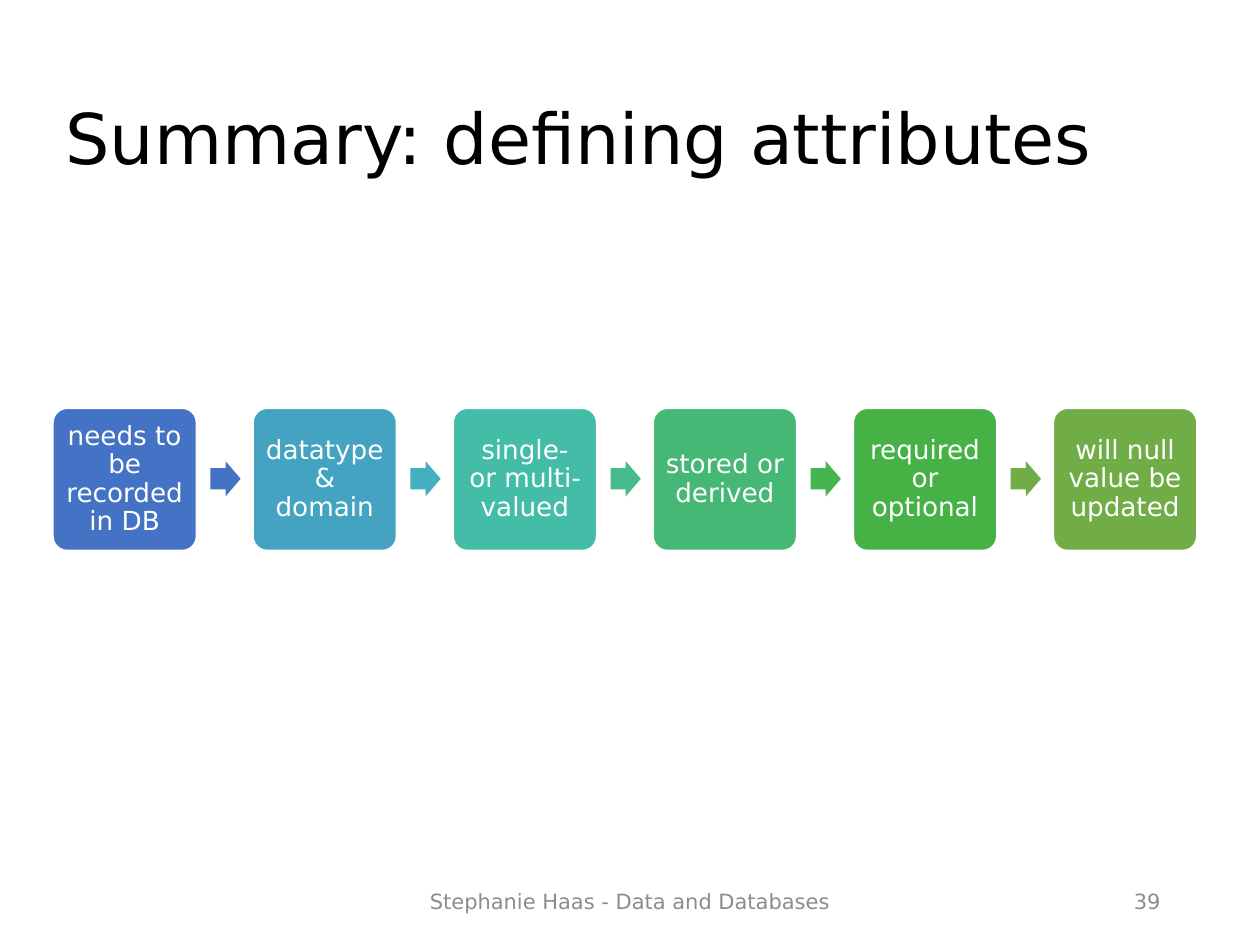
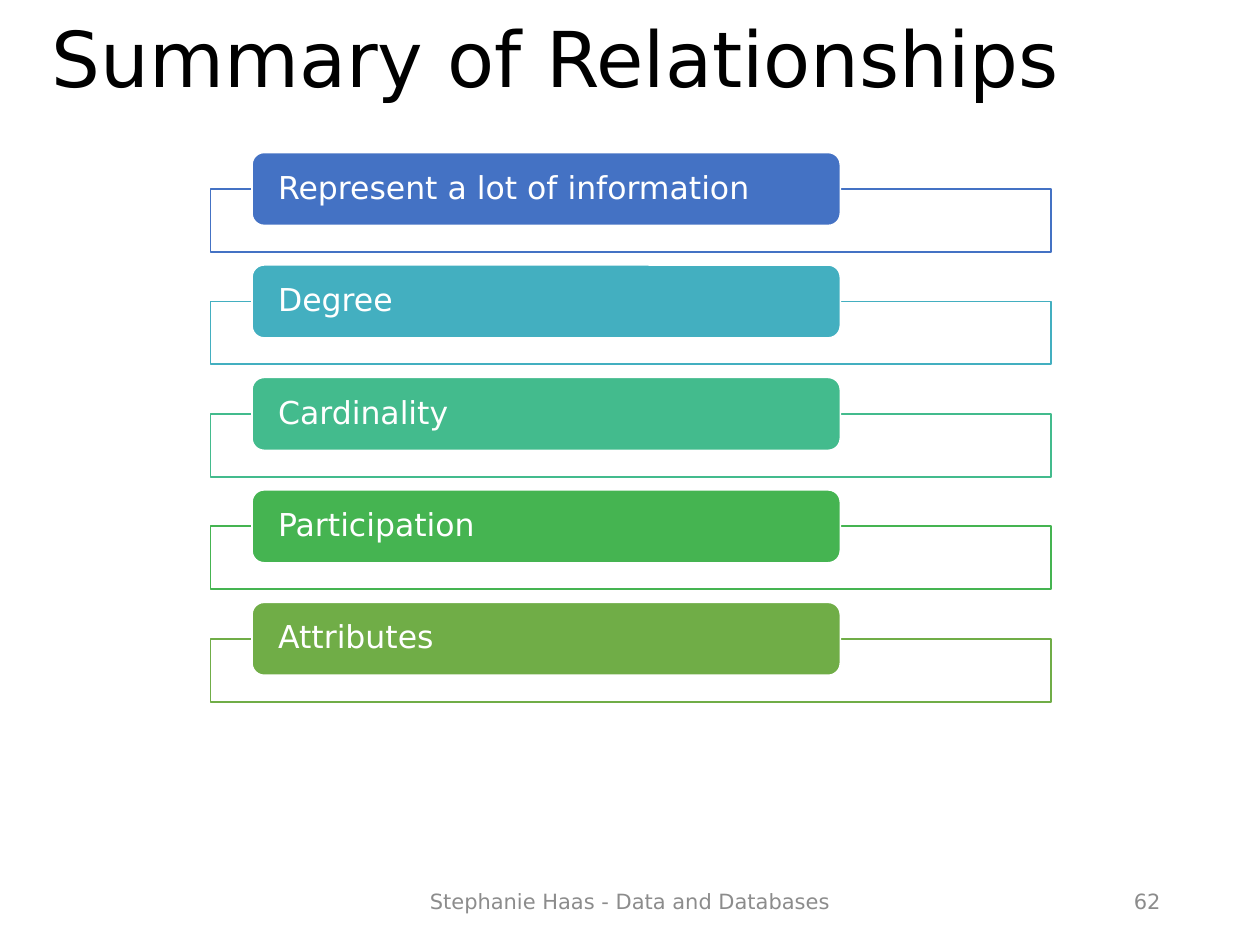
from dataclasses import dataclass

from lxml.etree import SubElement
from pptx import Presentation
from pptx.dml.color import RGBColor
from pptx.enum.shapes import MSO_SHAPE as Preset
from pptx.enum.text import MSO_ANCHOR as Anchor, MSO_AUTO_SIZE as AutoSize, PP_ALIGN as Align
from pptx.oxml.ns import qn
from pptx.shapes.autoshape import Shape
from pptx.slide import Slide
from pptx.text.text import TextFrame
from pptx.util import Inches, Pt

FONT = "DejaVu Sans"
WHITE, BLACK, GREY = "FFFFFF", "000000", "8C8C8C"
BLUE, CYAN, TEAL, GREEN, OLIVE = "4472C4", "43AFC0", "43BB8D", "45B451", "70AD47"
FOOTER = "Stephanie Haas - Data and Databases"


@dataclass
class Area:
    left: float
    top: float
    width: float
    height: float

    def lengths(self) -> list[int]:
        return [Inches(n) for n in (self.left, self.top, self.width, self.height)]


@dataclass
class TextStyle:
    size: float
    colour: str
    align: Align = Align.LEFT
    line_spacing: float = 1.0
    inset_x: float = 0.1
    inset_y: float = 0.05


@dataclass
class Step:
    label: str
    colour: str
    arrow_colour: str = ""


@dataclass
class Topic:
    label: str
    colour: str


STEP_STYLE = TextStyle(15, WHITE, Align.CENTER, 0.9, 0.06, 0.06)
TOPIC_STYLE = TextStyle(18, WHITE, Align.LEFT, 0.9, 0.18, 0)

STEPS = [
    Step("needs to be recorded in DB", BLUE, BLUE),
    Step("datatype & domain", "44A3C0", CYAN),
    Step("single- or multi-valued", "43BDA7", TEAL),
    Step("stored or derived", "44B874", GREEN),
    Step("required or optional", "46B246", OLIVE),
    Step("will null value be updated", OLIVE),
]
TOPICS = [
    Topic("Represent a lot of information", BLUE),
    Topic("Degree", CYAN),
    Topic("Cardinality", TEAL),
    Topic("Participation", GREEN),
    Topic("Attributes", OLIVE),
]


def rgb(colour: str) -> RGBColor:
    return RGBColor.from_string(colour)


def write(frame: TextFrame, text: str, style: TextStyle) -> None:
    frame.word_wrap = True
    frame.auto_size = AutoSize.NONE
    frame.vertical_anchor = Anchor.MIDDLE
    frame.margin_left = frame.margin_right = Inches(style.inset_x)
    frame.margin_top = frame.margin_bottom = Inches(style.inset_y)
    para = frame.paragraphs[0]
    para.alignment = style.align
    para.line_spacing = style.line_spacing
    span = para.add_run()
    span.text = text
    span.font.name = FONT
    span.font.size = Pt(style.size)
    span.font.color.rgb = rgb(style.colour)


def add_block(page: Slide, preset: Preset, area: Area, fill: str, line: str = "") -> Shape:
    block = page.shapes.add_shape(preset, *area.lengths())
    block.shadow.inherit = False
    block.fill.solid()
    block.fill.fore_color.rgb = rgb(fill)
    if line:
        block.line.color.rgb = rgb(line)
        block.line.width = Pt(1)
    else:
        block.line.fill.background()
    return block


def set_opacity(block: Shape, percent: int) -> None:
    colour = block.fill._xPr.find(qn("a:solidFill"))[0]
    SubElement(colour, qn("a:alpha")).set("val", str(percent * 1000))


def add_text(page: Slide, area: Area, text: str, style: TextStyle) -> None:
    box = page.shapes.add_textbox(*area.lengths())
    write(box.text_frame, text, style)


def add_page(deck: Presentation, title: str, area: Area, size: float, number: int) -> Slide:
    page = deck.slides.add_slide(deck.slide_layouts[5])
    heading = page.shapes.title
    heading.left, heading.top, heading.width, heading.height = area.lengths()
    write(heading.text_frame, title, TextStyle(size, BLACK, line_spacing=0.9))
    add_text(page, Area(3.31, 6.95, 3.38, 0.4), FOOTER, TextStyle(12, GREY, Align.CENTER))
    add_text(page, Area(7.06, 6.95, 2.25, 0.4), str(number), TextStyle(12, GREY, Align.RIGHT))
    return page


def add_steps(page: Slide) -> None:
    first, last = 0.42, 8.36
    pitch = (last - first) / (len(STEPS) - 1)
    for index, step in enumerate(STEPS):
        left = first + index * pitch
        tile = add_block(page, Preset.ROUNDED_RECTANGLE, Area(left, 3.24, 1.14, 1.13),
                         step.colour, WHITE)
        tile.adjustments[0] = 0.1
        write(tile.text_frame, step.label, STEP_STYLE)
        if step.arrow_colour:
            arrow = add_block(page, Preset.RIGHT_ARROW, Area(left + 1.25, 3.66, 0.24, 0.28),
                              step.arrow_colour)
            arrow.adjustments[0] = 0.6
            arrow.adjustments[1] = 0.5


def add_topics(page: Slide) -> None:
    first, last = 1.21, 4.78
    pitch = (last - first) / (len(TOPICS) - 1)
    for index, topic in enumerate(TOPICS):
        top = first + index * pitch
        frame = add_block(page, Preset.RECTANGLE, Area(1.67, top + 0.29, 6.67, 0.5),
                          WHITE, topic.colour)
        set_opacity(frame, 90)
        label = add_block(page, Preset.ROUNDED_RECTANGLE, Area(2, top, 4.67, 0.58),
                          topic.colour, WHITE)
        write(label.text_frame, topic.label, TOPIC_STYLE)


def main() -> None:
    deck = Presentation()
    deck.slide_width, deck.slide_height = Inches(10), Inches(7.5)
    add_steps(add_page(deck, "Summary: defining attributes", Area(0.42, 0.4, 8.9, 1.45), 40, 39))
    add_topics(add_page(deck, "Summary of Relationships", Area(0.31, 0.16, 9, 0.67), 44, 62))
    deck.save("out.pptx")


if __name__ == "__main__":
    main()
